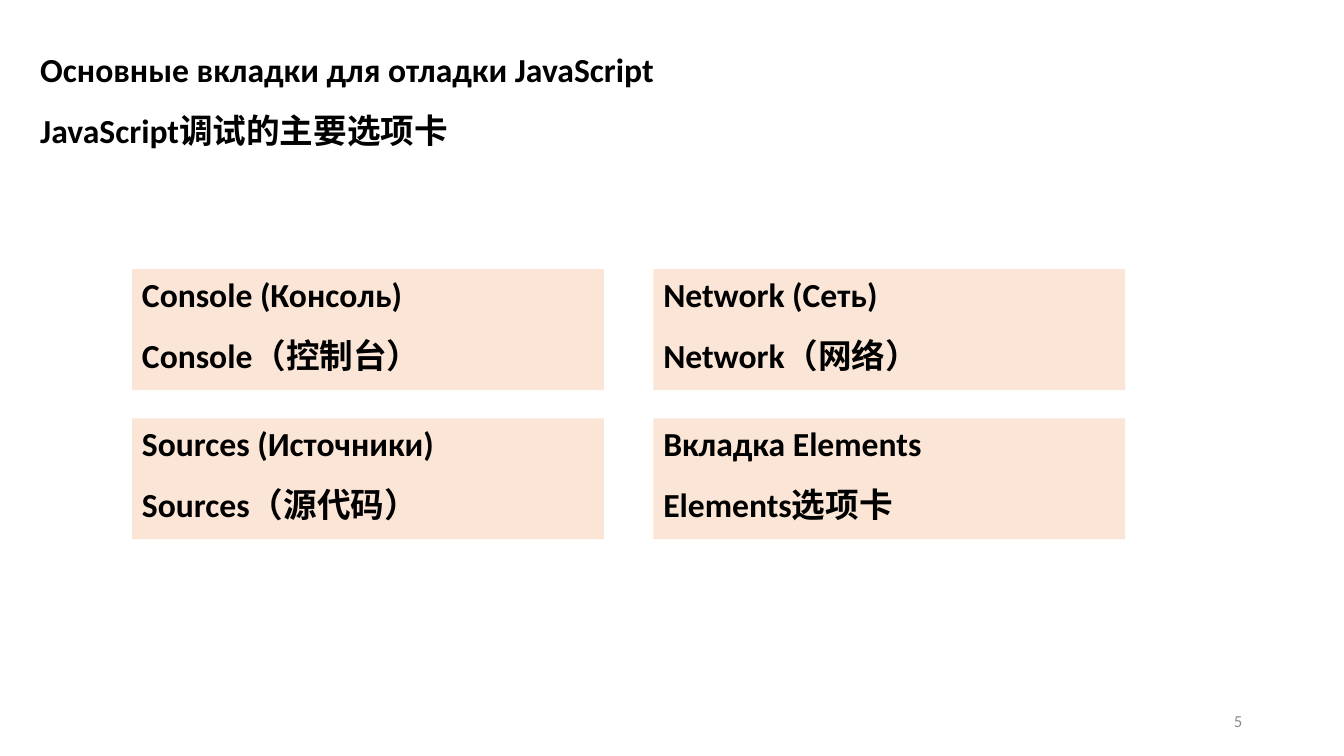
from dataclasses import dataclass

from pptx import Presentation
from pptx.dml.color import RGBColor as Rgb
from pptx.enum.shapes import MSO_SHAPE as Kind
from pptx.enum.text import MSO_ANCHOR as Anchor, MSO_AUTO_SIZE as Fit, PP_ALIGN as Align
from pptx.shapes.autoshape import Shape
from pptx.slide import Slide
from pptx.util import Emu, Pt

SCALE = 9144  # EMU in one px, at 100 px to the inch


@dataclass(frozen=True)
class Theme:
    font: str = "Calibri"
    ink: Rgb = Rgb(0x00, 0x00, 0x00)
    grey: Rgb = Rgb(0x8C, 0x8C, 0x8C)
    peach: Rgb = Rgb(0xFB, 0xE5, 0xD6)
    body: int = 24
    small: int = 12
    gap: float = 14.4


@dataclass(frozen=True)
class Box:
    left: int
    top: int
    width: int
    height: int

    def emu(self) -> tuple[Emu, Emu, Emu, Emu]:
        return px(self.left), px(self.top), px(self.width), px(self.height)


@dataclass(frozen=True)
class Card:
    col: int
    row: int
    lines: tuple[str, str]


THEME = Theme()
TITLE = ("Основные вкладки для отладки JavaScript", "JavaScript调试的主要选项卡")
CARDS = (
    Card(0, 0, ("Console (Консоль)", "Console（控制台）")),
    Card(0, 1, ("Sources (Источники)", "Sources（源代码）")),
    Card(1, 0, ("Network (Сеть)", "Network（网络）")),
    Card(1, 1, ("Вкладка Elements", "Elements选项卡")),
)
LEFT, TOP = 131, 267
STEP_X, STEP_Y = 517, 148


def px(count: int) -> Emu:
    return Emu(count * SCALE)


def write(shape: Shape, lines: tuple[str, ...]) -> None:
    """Fill a shape with bold, left-aligned lines."""
    frame = shape.text_frame
    frame.word_wrap = True
    frame.auto_size = Fit.SHAPE_TO_FIT_TEXT
    frame.vertical_anchor = Anchor.TOP
    for i, line in enumerate(lines):
        para = frame.add_paragraph() if i else frame.paragraphs[0]
        para.alignment = Align.LEFT
        para.space_after = Pt(THEME.gap)
        add_run(para, line, THEME.body, THEME.ink, True)


def add_run(para, text: str, size: int, color: Rgb, bold: bool) -> None:
    run = para.add_run()
    run.text = text
    run.font.name = THEME.font
    run.font.size = Pt(size)
    run.font.bold = bold
    run.font.color.rgb = color


def add_title(slide: Slide) -> None:
    write(slide.shapes.add_textbox(*Box(30, 44, 748, 120).emu()), TITLE)


def add_card(slide: Slide, card: Card) -> None:
    box = Box(LEFT + card.col * STEP_X, TOP + card.row * STEP_Y, 468, 120)
    shape = slide.shapes.add_shape(Kind.RECTANGLE, *box.emu())
    shape.shadow.inherit = False
    shape.fill.solid()
    shape.fill.fore_color.rgb = THEME.peach
    shape.line.fill.background()
    write(shape, card.lines)


def add_number(slide: Slide, number: str) -> None:
    frame = slide.shapes.add_textbox(*Box(942, 695, 300, 40).emu()).text_frame
    frame.word_wrap = True
    frame.vertical_anchor = Anchor.MIDDLE
    para = frame.paragraphs[0]
    para.alignment = Align.RIGHT
    add_run(para, number, THEME.small, THEME.grey, False)


def main() -> None:
    deck = Presentation()
    deck.slide_width, deck.slide_height = px(1333), px(750)
    slide = deck.slides.add_slide(deck.slide_layouts[6])
    add_number(slide, "5")
    add_title(slide)
    for card in CARDS:
        add_card(slide, card)
    deck.save("out.pptx")


if __name__ == "__main__":
    main()
